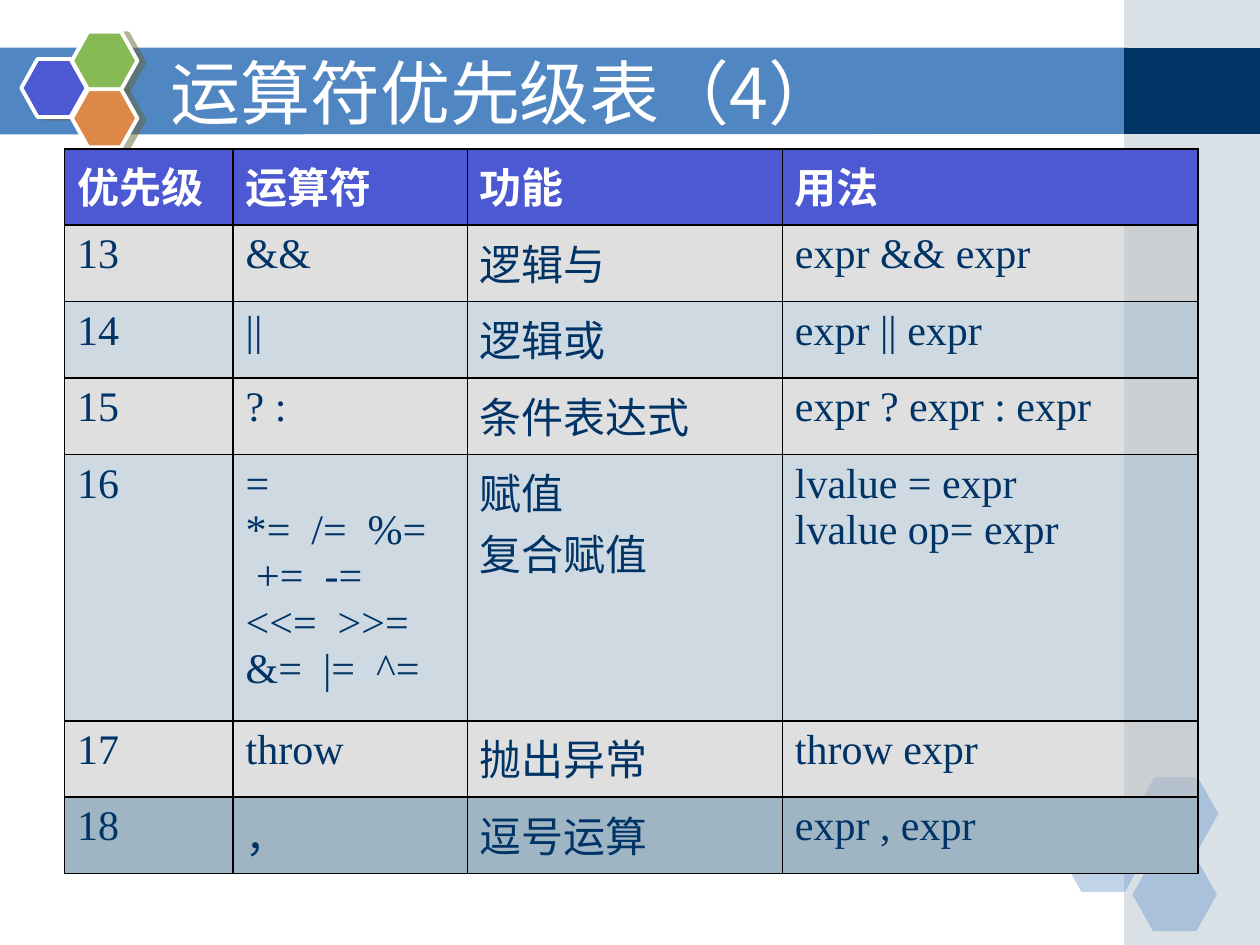
"""Build the fourth operator precedence slide with its table and hexagon decoration."""
import dataclasses
import typing

import pptx
import pptx.dml.color
import pptx.enum.shapes
import pptx.enum.text
import pptx.oxml
import pptx.oxml.ns
import pptx.util

Cm = pptx.util.Cm
Pt = pptx.util.Pt
RGBColor = pptx.dml.color.RGBColor
Preset = pptx.enum.shapes.MSO_SHAPE
qn = pptx.oxml.ns.qn

WHITE = RGBColor(0xFF, 0xFF, 0xFF)
BLACK = RGBColor(0x00, 0x00, 0x00)
NAVY = RGBColor(0x00, 0x33, 0x66)
BLUE = RGBColor(0x50, 0x86, 0xC2)
INDIGO = RGBColor(0x4C, 0x59, 0xD2)
GREEN = RGBColor(0x85, 0xBA, 0x54)
ORANGE = RGBColor(0xDE, 0x88, 0x48)
STEEL = RGBColor(0xA0, 0xB5, 0xC4)
SILVER = RGBColor(0xC0, 0xC0, 0xC0)
OLIVE = RGBColor(0x66, 0x66, 0x33)

SANS = "Noto Sans CJK SC"
SERIF = "Times New Roman"
NAMESPACE = pptx.oxml.ns.nsdecls("a")


@dataclasses.dataclass
class Panel:
    left: float
    top: float
    width: float
    height: float
    colour: RGBColor
    opacity: int = 100
    preset: Preset = Preset.RECTANGLE
    badge: bool = False


@dataclasses.dataclass
class Row:
    cells: tuple[str, ...]
    colour: RGBColor
    opacity: int = 50
    height: float = 1.54
    ink: RGBColor = NAVY
    bold: bool = False


def hexagon(left: float, top: float) -> Panel:
    return Panel(left, top, 1.7, 1.47, BLUE, 35, Preset.HEXAGON)


def badge(left: float, top: float, colour: RGBColor) -> Panel:
    return Panel(left, top, 1.32, 1.17, colour, 100, Preset.HEXAGON, True)


PANELS = [
    Panel(22.66, 0, 2.74, 19.05, STEEL, 40),
    Panel(22.66, 0.97, 2.74, 1.73, NAVY),
    hexagon(21.39, 16.51),
    hexagon(22.86, 15.67),
    hexagon(22.83, 17.3),
    badge(0.43, 1.19, INDIGO),
    badge(1.45, 0.64, GREEN),
    badge(1.45, 1.8, ORANGE),
]
BAR_CORNERS = [(-0.02, 0.96), (22.74, 0.96), (22.74, 2.7), (-0.02, 2.71)]
COLUMN_WIDTHS = [3.4, 4.72, 6.35, 8.38]
ROWS = [
    Row(("优先级", "运算符", "功能", "用法"), INDIGO, 100, ink=WHITE, bold=True),
    Row(("13", "&&", "逻辑与", "expr && expr"), SILVER),
    Row(("14", "||", "逻辑或", "expr || expr"), STEEL),
    Row(("15", "? :", "条件表达式", "expr ? expr : expr"), SILVER),
    Row(("16", "=\n*=  /=  %=\n +=  -=\n<<=  >>=\n&=  |=  ^=",
         "赋值\n复合赋值", "lvalue = expr\nlvalue op= expr"), STEEL, height=5.37),
    Row(("17", "throw", "抛出异常", "throw expr"), SILVER),
    Row(("18", "，", "逗号运算", "expr , expr"), STEEL, 100),
]


def set_fill(fill: typing.Any, owner: typing.Any, colour: RGBColor, opacity: int) -> None:
    fill.solid()
    fill.fore_color.rgb = colour
    if opacity < 100:
        tint = owner.find(qn("a:solidFill")).find(qn("a:srgbClr"))
        tint.append(pptx.oxml.parse_xml(f'<a:alpha {NAMESPACE} val="{opacity * 1000}"/>'))


def style_span(span: typing.Any, colour: RGBColor, formats: dict[str, typing.Any]) -> None:
    for name, value in formats.items():
        setattr(span.font, name, value)
    span.font.color.rgb = colour
    east_asian = pptx.oxml.parse_xml(f'<a:ea {NAMESPACE} typeface="{SANS}"/>')
    span.font._element.find(qn("a:latin")).addnext(east_asian)


def draw_bar(page: typing.Any) -> None:
    corners = [(Cm(x), Cm(y)) for x, y in BAR_CORNERS]
    builder = page.shapes.build_freeform(*corners[0])
    builder.add_line_segments(corners[1:], close=True)
    bar = builder.convert_to_shape()
    bar.shadow.inherit = False
    set_fill(bar.fill, bar.element.spPr, BLUE, 100)
    bar.line.fill.background()


def draw_panel(page: typing.Any, panel: Panel) -> None:
    shape = page.shapes.add_shape(
        panel.preset, Cm(panel.left), Cm(panel.top), Cm(panel.width), Cm(panel.height))
    shape.shadow.inherit = False
    set_fill(shape.fill, shape.element.spPr, panel.colour, panel.opacity)
    if panel.preset == Preset.HEXAGON:
        shape.adjustments[0] = 0.28
    if not panel.badge:
        shape.line.fill.background()
        return
    shape.line.color.rgb = WHITE
    shape.line.width = Pt(2.25)
    shape.element.spPr.find(qn("a:effectLst")).append(pptx.oxml.parse_xml(
        f'<a:outerShdw {NAMESPACE} dist="{Pt(4.1)}" dir="{14 * 60000}" algn="ctr" '
        f'rotWithShape="0"><a:srgbClr val="{OLIVE}"><a:alpha val="50000"/>'
        '</a:srgbClr></a:outerShdw>'))


def draw_title(page: typing.Any, text: str) -> None:
    title = page.shapes.title
    title.element.getparent().append(title.element)
    place = {"left": Cm(3.18), "top": Cm(1.07), "width": Cm(21.13), "height": Cm(1.57)}
    for name, value in place.items():
        setattr(title, name, value)
    frame = title.text_frame
    frame.auto_size = pptx.enum.text.MSO_AUTO_SIZE.NONE
    frame.vertical_anchor = pptx.enum.text.MSO_ANCHOR.MIDDLE
    para = frame.paragraphs[0]
    para.alignment = pptx.enum.text.PP_ALIGN.LEFT
    span = para.add_run()
    span.text = text
    style_span(span, WHITE, {"name": SANS, "size": Pt(40)})


def draw_cell(cell: typing.Any, text: str, row: Row) -> None:
    cell.text = text
    for para in cell.text_frame.paragraphs:
        properties = para._p.get_or_add_pPr()
        properties.set("marL", str(Cm(0.95)))
        properties.set("indent", str(-Cm(0.95)))
        for span in para.runs:
            style_span(span, row.ink, {"name": SERIF, "size": Pt(24), "bold": row.bold})
    borders = cell._tc.get_or_add_tcPr()
    set_fill(cell.fill, borders, row.colour, row.opacity)
    for index, side in enumerate("LRTB"):
        borders.insert(index, pptx.oxml.parse_xml(
            f'<a:ln{side} {NAMESPACE} w="{Pt(0.96)}"><a:solidFill>'
            f'<a:srgbClr val="{BLACK}"/></a:solidFill></a:ln{side}>'))


def draw_table(page: typing.Any) -> None:
    table = page.shapes.add_table(
        len(ROWS), len(COLUMN_WIDTHS), Cm(1.3), Cm(3),
        Cm(sum(COLUMN_WIDTHS)), Cm(sum(row.height for row in ROWS))).table
    table.first_row = table.horz_banding = False
    for column, width in zip(table.columns, COLUMN_WIDTHS):
        column.width = Cm(width)
    for table_row, row in zip(table.rows, ROWS):
        table_row.height = Cm(row.height)
        for cell, text in zip(table_row.cells, row.cells):
            draw_cell(cell, text, row)


def main() -> None:
    deck = pptx.Presentation()
    deck.slide_width, deck.slide_height = Cm(25.4), Cm(19.05)
    page = deck.slides.add_slide(deck.slide_layouts[5])
    draw_bar(page)
    for panel in PANELS:
        draw_panel(page, panel)
    draw_title(page, "运算符优先级表（4）")
    draw_table(page)
    deck.save("out.pptx")


if __name__ == "__main__":
    main()
